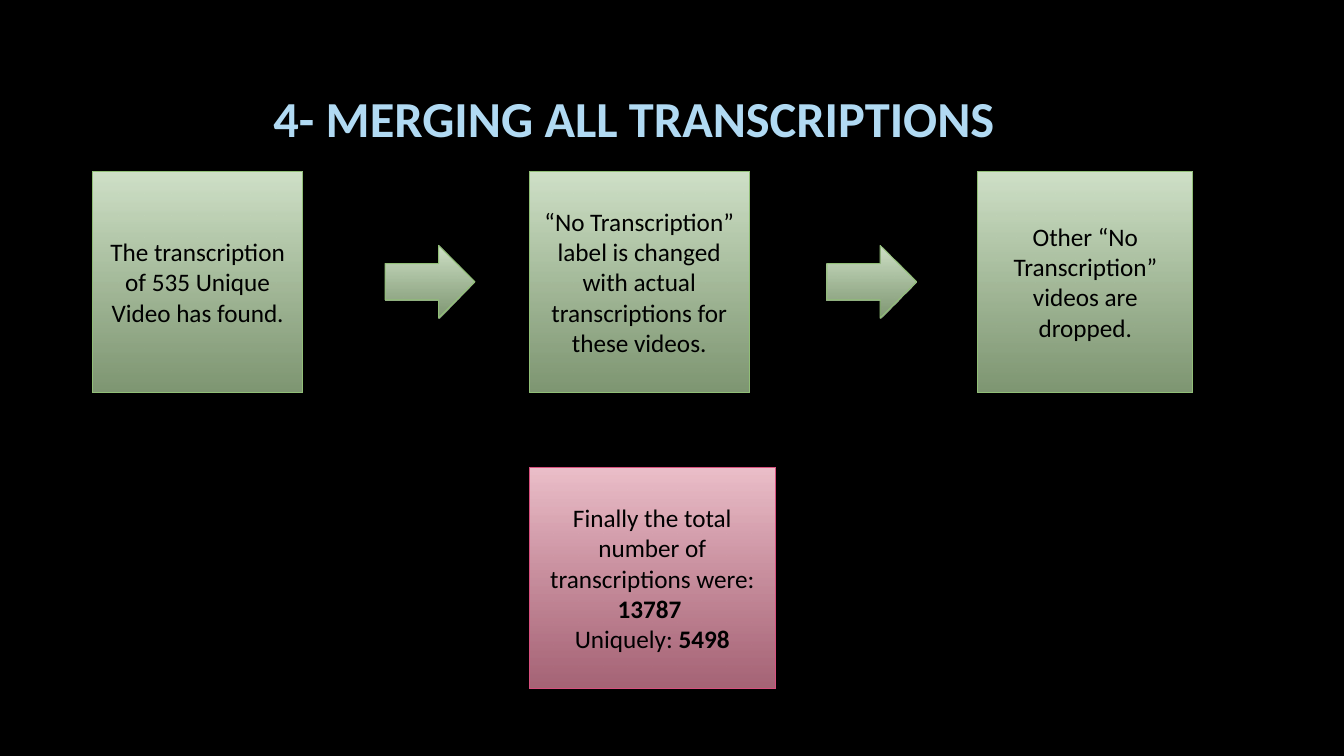
"""Build the slide on merging all transcriptions."""
from pptx import Presentation, util as u
from pptx.dml.color import RGBColor
from pptx.enum import shapes, text
from pptx.oxml import ns, xmlchemy

BLACK = RGBColor(0x00, 0x00, 0x00)
SKY = RGBColor(0xB1, 0xDA, 0xF3)
GREEN = (RGBColor(0xD1, 0xE2, 0xC9), RGBColor(0xAC, 0xCC, 0x9C), RGBColor(0x91, 0xBF, 0x77))
PINK = (RGBColor(0xED, 0xC0, 0xCB), RGBColor(0xE0, 0x88, 0xA0), RGBColor(0xD8, 0x50, 0x7E))

TITLE = "4- MERGING ALL TRANSCRIPTIONS"
STEPS = [
    (0.92, 2.08, "The transcription of 535 Unique Video has found."),
    (5.25, 2.18, "“No Transcription” label is changed with actual transcriptions for these videos."),
    (9.7, 2.13, "Other “No Transcription” videos are dropped."),
]
RESULT = [
    [("Finally the total number of transcriptions were:", False)],
    [("13787 ", True)],
    [("Uniquely: ", False), ("5498", True)],
]
ARROW_LEFTS = [3.82, 8.2]
STEP_TOP, RESULT_TOP, BOX_HEIGHT = 1.7, 4.64, 2.19
ARROW_WIDTH, ARROW_HEIGHT = 0.89, 0.72


def write(shape, paragraphs, size=18, color=BLACK):
    """Fill a shape with centred paragraphs of (text, bold) spans."""
    frame = shape.text_frame
    frame.word_wrap = True
    frame.vertical_anchor = text.MSO_ANCHOR.MIDDLE
    for index, spans in enumerate(paragraphs):
        para = frame.add_paragraph() if index else frame.paragraphs[0]
        para.alignment = text.PP_ALIGN.CENTER
        for words, bold in spans:
            span = para.add_run()
            span.text = words
            span.font.name = "Calibri"
            span.font.size = u.Pt(size)
            span.font.bold = bold
            span.font.color.rgb = color


def add_block(slide, kind, bounds, palette):
    """Add a preset shape with a downward gradient fading at its end."""
    shape = slide.shapes.add_shape(kind, *map(u.Inches, bounds))
    shape.shadow.inherit = False
    start, end, outline = palette
    shape.fill.gradient()
    shape.fill.gradient_angle = 270
    for stop, color, position in zip(shape.fill.gradient_stops, (start, end), (0, 1)):
        stop.color.rgb = color
        stop.position = position
    last_color = shape.element.spPr.findall(".//" + ns.qn("a:srgbClr"))[-1]
    alpha = xmlchemy.OxmlElement("a:alpha")
    alpha.set("val", "74000")
    last_color.append(alpha)
    shape.line.color.rgb = outline
    shape.line.width = u.Pt(0.75)
    return shape


def main():
    """Compose and save the deck."""
    deck = Presentation()
    deck.slide_width, deck.slide_height = u.Inches(13.33), u.Inches(7.5)
    slide = deck.slides.add_slide(deck.slide_layouts[6])
    slide.background.fill.solid()
    slide.background.fill.fore_color.rgb = BLACK

    title = slide.shapes.add_textbox(*map(u.Inches, (0.75, 0.67, 11.08, 1.59)))
    write(title, [[(TITLE, True)]], size=36, color=SKY)
    title.text_frame.margin_bottom = u.Inches(0.66)

    square = shapes.MSO_SHAPE.RECTANGLE
    for left, width, words in STEPS:
        box = add_block(slide, square, (left, STEP_TOP, width, BOX_HEIGHT), GREEN)
        write(box, [[(words, False)]])

    arrow_top = STEP_TOP + (BOX_HEIGHT - ARROW_HEIGHT) / 2
    for left in ARROW_LEFTS:
        bounds = (left, arrow_top, ARROW_WIDTH, ARROW_HEIGHT)
        add_block(slide, shapes.MSO_SHAPE.RIGHT_ARROW, bounds, GREEN)

    result = add_block(slide, square, (STEPS[1][0], RESULT_TOP, 2.44, BOX_HEIGHT), PINK)
    write(result, RESULT)
    deck.save("out.pptx")


if __name__ == "__main__":
    main()
